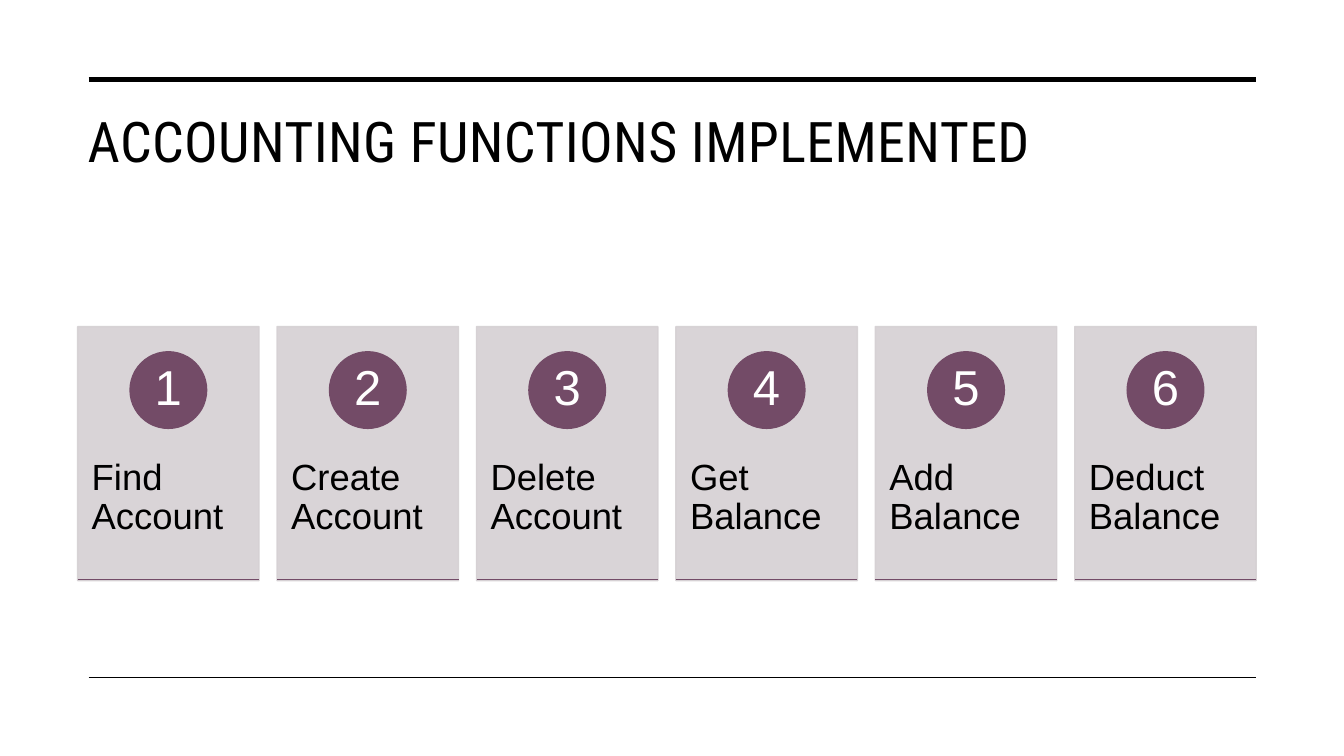
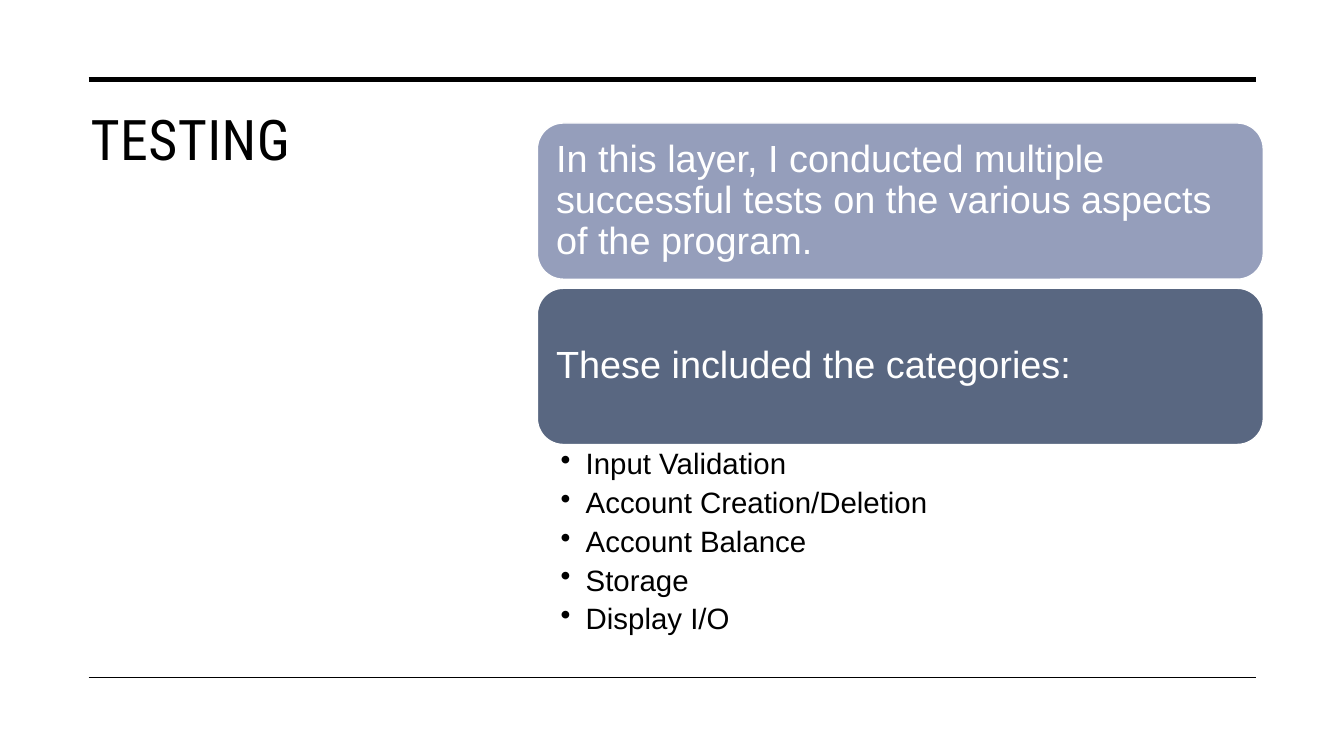
from lxml import etree
from pptx import Presentation
from pptx.dml.color import RGBColor
from pptx.enum import shapes, text
from pptx.oxml import ns
from pptx.util import Inches, Pt

BLACK = RGBColor(0x00, 0x00, 0x00)
WHITE = RGBColor(0xFF, 0xFF, 0xFF)
PLUM = RGBColor(0x73, 0x4B, 0x67)
CARD_GREY = RGBColor(0xD5, 0xD0, 0xD3)
LAVENDER = RGBColor(0x95, 0x9E, 0xBB)
SLATE = RGBColor(0x59, 0x67, 0x81)
TITLE_FONT = "Roboto Condensed"
BODY_FONT = "Arial"

RULES = [(0.79, 3.5), (6.72, 1)]
SLIDES = [
    ("ACCOUNTING FUNCTIONS IMPLEMENTED", (0.77, 1.01, 11.69, 1.5)),
    ("TESTING", (0.8, 0.99, 4, 4.82)),
]
FUNCTIONS = ["Find Account", "Create Account", "Delete Account",
             "Get Balance", "Add Balance", "Deduct Balance"]
STATEMENTS = [
    ("In this layer, I conducted multiple successful tests on the various "
     "aspects of the program.", LAVENDER),
    ("These included the categories:", SLATE),
]
CATEGORIES = ["Input Validation", "Account Creation/Deletion",
              "Account Balance", "Storage", "Display I/O"]


def write(shape, lines, size, color=BLACK, font=BODY_FONT, insets=(0.1, 0.05, 0.1, 0.05),
          anchor=text.MSO_ANCHOR.TOP, align=text.PP_ALIGN.LEFT, line_spacing=0.9,
          space_after=0, bullet=False, tracking=0):
    """Fill a shape with one paragraph per line; insets run left, top, right, bottom."""
    frame = shape.text_frame
    frame.word_wrap = True
    frame.auto_size = text.MSO_AUTO_SIZE.NONE
    frame.vertical_anchor = anchor
    (frame.margin_left, frame.margin_top,
     frame.margin_right, frame.margin_bottom) = map(Inches, insets)
    for index, line in enumerate(lines):
        paragraph = frame.add_paragraph() if index else frame.paragraphs[0]
        paragraph.alignment = align
        paragraph.line_spacing = line_spacing
        paragraph.space_before = Pt(0)
        paragraph.space_after = Pt(space_after)
        run = paragraph.add_run()
        run.text = line
        run.font.name = font
        run.font.size = Pt(size)
        run.font.color.rgb = color
        if tracking:
            run.font._element.set("spc", str(round(tracking * 100)))
        if bullet:
            properties = paragraph._p.get_or_add_pPr()
            properties.set("marL", str(Inches(0.25)))
            properties.set("indent", str(Inches(-0.25)))
            etree.SubElement(properties, ns.qn("a:buChar"), char="•")


def draw(slide, box, kind=None, fill=PLUM, line=PLUM, weight=1, opacity=100):
    """Draw a preset shape, or a straight line when no kind is given."""
    left, top, width, height = map(Inches, box)
    if kind is None:
        shape = slide.shapes.add_connector(shapes.MSO_CONNECTOR.STRAIGHT,
                                           left, top, left + width, top + height)
    else:
        shape = slide.shapes.add_shape(kind, left, top, width, height)
        shape.shadow.inherit = False
        shape.fill.solid()
        shape.fill.fore_color.rgb = fill
    shape.line.color.rgb = line
    shape.line.width = Pt(weight)
    if kind is None:
        etree.SubElement(shape._element.spPr, ns.qn("a:effectLst"))
    if opacity < 100:
        for color in shape._element.spPr.iter(ns.qn("a:srgbClr")):
            etree.SubElement(color, ns.qn("a:alpha"), val=str(opacity * 1000))
    return shape


presentation = Presentation()
presentation.slide_width = Inches(13.33)
presentation.slide_height = Inches(7.5)
title_only = presentation.slide_layouts[5]

# Titles and rules shared by both slides
for title_text, title_box in SLIDES:
    slide = presentation.slides.add_slide(title_only)
    title = slide.shapes.title
    title.left, title.top, title.width, title.height = map(Inches, title_box)
    write(title, [title_text], 40, font=TITLE_FONT, line_spacing=1, tracking=0.3)
    for rule_top, rule_weight in RULES:
        draw(slide, (0.88, rule_top, 11.58, 0), line=BLACK, weight=rule_weight)

functions_slide, testing_slide = presentation.slides

# Numbered function cards
CARD_LEFT, CARD_TOP, CARD_WIDTH, CARD_HEIGHT = 0.77, 3.24, 1.8, 2.52
CARD_PITCH = (12.46 - CARD_LEFT - CARD_WIDTH) / (len(FUNCTIONS) - 1)
BADGE = 0.76
for index, function in enumerate(FUNCTIONS):
    left = CARD_LEFT + index * CARD_PITCH
    card = draw(functions_slide, (left, CARD_TOP, CARD_WIDTH, CARD_HEIGHT),
                shapes.MSO_SHAPE.RECTANGLE, fill=CARD_GREY, line=CARD_GREY, opacity=90)
    write(card, [function], 26, insets=(0.14, 1.31, 0.14, 0.36))
    badge = draw(functions_slide,
                 (left + (CARD_WIDTH - BADGE) / 2, CARD_TOP + 0.25, BADGE, BADGE),
                 shapes.MSO_SHAPE.OVAL)
    write(badge, [str(index + 1)], 35, color=WHITE, insets=(0.06, 0.01, 0.06, 0.01),
          anchor=text.MSO_ANCHOR.MIDDLE, align=text.PP_ALIGN.CENTER)
    draw(functions_slide, (left, CARD_TOP + CARD_HEIGHT - 0.01, CARD_WIDTH, 0))

# Testing statements and the categories below them
PANEL_LEFT, PANEL_TOP, PANEL_WIDTH, PANEL_HEIGHT, PANEL_PITCH = 5.33, 1.22, 7.2, 1.55, 1.64
for index, (statement, color) in enumerate(STATEMENTS):
    panel = draw(testing_slide,
                 (PANEL_LEFT, PANEL_TOP + index * PANEL_PITCH, PANEL_WIDTH, PANEL_HEIGHT),
                 shapes.MSO_SHAPE.ROUNDED_RECTANGLE, fill=color, line=WHITE)
    write(panel, [statement], 27, color=WHITE, insets=(0.11, 0.11, 0.11, 0.11),
          anchor=text.MSO_ANCHOR.MIDDLE)

category_list = testing_slide.shapes.add_textbox(
    Inches(PANEL_LEFT), Inches(4.42), Inches(PANEL_WIDTH), Inches(1.86))
write(category_list, CATEGORIES, 21, insets=(0.23, 0.04, 0.21, 0.04),
      space_after=5, bullet=True)

presentation.save("out.pptx")
